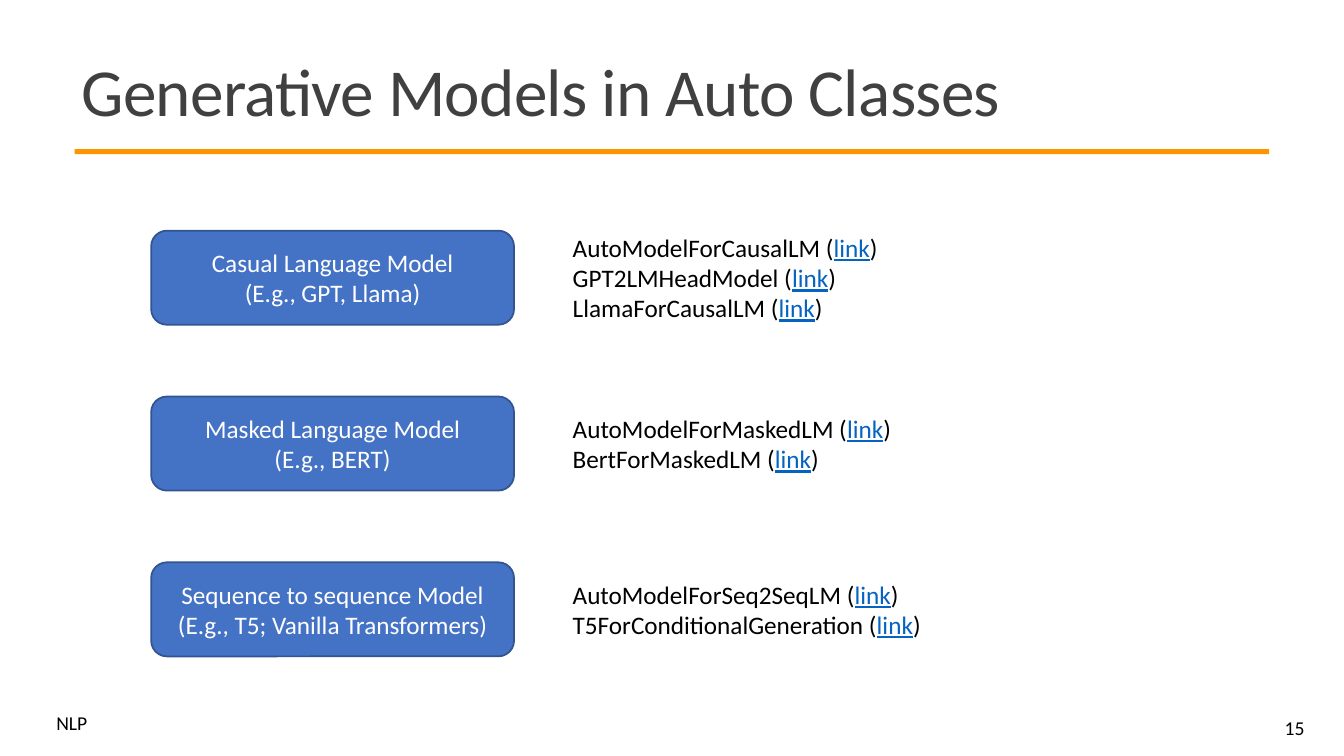
from pptx import Presentation
from pptx.dml.color import RGBColor
from pptx.enum.shapes import MSO_SHAPE
from pptx.enum.text import MSO_ANCHOR, PP_ALIGN
from pptx.util import Inches, Pt

COLORS = {
    "ink": "000000",
    "title": "404040",
    "rule": "FF9400",
    "card": "4472C4",
    "card_line": "325491",
    "card_text": "FFFFFF",
    "link": "0563C1",
}
MODEL_ROWS = [
    (["Casual Language Model", "(E.g., GPT, Llama)"],
     ["AutoModelForCausalLM", "GPT2LMHeadModel", "LlamaForCausalLM"], 20.9),
    (["Masked Language Model", "(E.g., BERT)"],
     ["AutoModelForMaskedLM", "BertForMaskedLM"], 20.9),
    (["Sequence to sequence Model", "(E.g., T5; Vanilla Transformers)"],
     ["AutoModelForSeq2SeqLM", "T5ForConditionalGeneration"], 22.9),
]


class SlideBuilder:
    """Draws styled elements on a page measured as 80 columns by 45 rows."""

    font = "Calibri"

    def __init__(self, deck):
        self.page = deck.slides.add_slide(deck.slide_layouts[6])
        self.column = deck.slide_width / 80
        self.row = deck.slide_height / 45

    def place(self, left, top, width, height):
        return (round(left * self.column), round(top * self.row),
                round(width * self.column), round(height * self.row))

    def color(self, name):
        return RGBColor.from_string(COLORS[name])

    def fill_text(self, shape, lines, size, color="ink", align=PP_ALIGN.LEFT,
                  anchor=MSO_ANCHOR.MIDDLE, spacing=None, tracking=None):
        frame = shape.text_frame
        frame.word_wrap = True
        frame.vertical_anchor = anchor
        for index, spans in enumerate(lines):
            para = frame.paragraphs[0] if index == 0 else frame.add_paragraph()
            para.alignment = align
            para.line_spacing = spacing
            for text in spans:
                span = para.add_run()
                span.text = text
                span.font.name = self.font
                span.font.size = Pt(size)
                is_link = text == "link"
                span.font.color.rgb = self.color("link" if is_link else color)
                if is_link:
                    span.font.underline = True
                if tracking is not None:
                    span.font._element.set("spc", str(tracking))

    def text(self, area, lines, size, **style):
        box = self.page.shapes.add_textbox(*self.place(*area))
        self.fill_text(box, lines, size, **style)

    def block(self, kind, area, fill, line=None):
        shape = self.page.shapes.add_shape(kind, *self.place(*area))
        shape.shadow.inherit = False
        shape.fill.solid()
        shape.fill.fore_color.rgb = self.color(fill)
        if line:
            shape.line.color.rgb = self.color(line)
            shape.line.width = Pt(1.25)
        else:
            shape.line.fill.background()
        return shape

    def card(self, area, lines):
        shape = self.block(MSO_SHAPE.ROUNDED_RECTANGLE, area, "card", "card_line")
        self.fill_text(shape, [[line] for line in lines], 18,
                       color="card_text", align=PP_ALIGN.CENTER)

    def class_list(self, left, middle, width, names):
        height = 0.6 + 1.8 * len(names)
        lines = [[f"{name} (", "link", ")"] for name in names]
        self.text((left, middle - height / 2, width, height), lines, 18)


def main():
    deck = Presentation()
    deck.slide_width, deck.slide_height = Inches(13.33), Inches(7.5)
    slide = SlideBuilder(deck)

    slide.block(MSO_SHAPE.RECTANGLE, (4.44, 8.88, 71.1, 0.3), "rule")
    slide.text((4.26, 2.34, 71.64, 6.78), [["Generative Models in Auto Classes"]],
               48, color="title", spacing=0.85, tracking=-50)

    card_height = 5.6
    for index, (label, classes, list_width) in enumerate(MODEL_ROWS):
        middle = 16.53 + 9.87 * index
        slide.card((9, middle - card_height / 2, 21.6, card_height), label)
        slide.class_list(33.5, middle, list_width, classes)

    slide.text((2.76, 42.3, 3.66, 1.74), [["NLP"]], 14,
               anchor=MSO_ANCHOR.TOP, spacing=0.8)
    slide.text((69.66, 42.12, 8.58, 2.4), [["15"]], 14, align=PP_ALIGN.RIGHT)
    deck.save("out.pptx")


if __name__ == "__main__":
    main()
